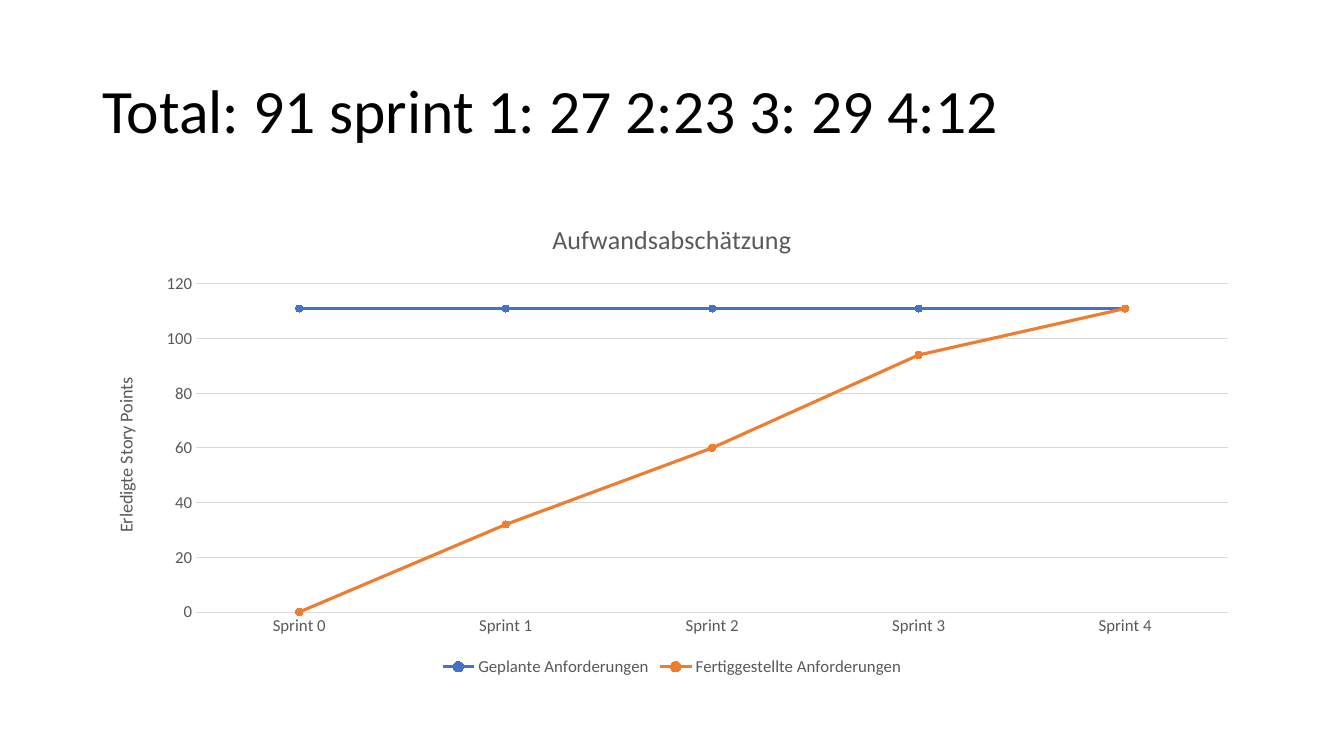
from dataclasses import dataclass

from pptx import Presentation
from pptx.chart.data import CategoryChartData as ChartData
from pptx.dml.color import RGBColor as RGB
from pptx.enum.chart import XL_CHART_TYPE as Kind
from pptx.enum.chart import XL_LEGEND_POSITION as Place
from pptx.enum.chart import XL_MARKER_STYLE as Mark
from pptx.enum.chart import XL_TICK_MARK as Tick
from pptx.enum.text import MSO_ANCHOR as Anchor
from pptx.util import Pt


@dataclass(frozen=True)
class Theme:
    face: str = "Calibri"
    black: RGB = RGB(0, 0, 0)
    gray: RGB = RGB(0x59, 0x59, 0x59)
    grid: RGB = RGB(0xD9, 0xD9, 0xD9)
    blue: RGB = RGB(0x44, 0x72, 0xC4)
    orange: RGB = RGB(0xED, 0x7D, 0x31)
    head: float = 44
    title: float = 18.6
    label: float = 12
    hair: float = 0.75
    curve: float = 2.25


@dataclass(frozen=True)
class Series:
    name: str
    points: tuple[int, ...]
    color: RGB


theme = Theme()
LEFT, WIDTH = 66, 828
SPRINTS = [f"Sprint {n}" for n in range(5)]
SERIES = [
    Series("Geplante Anforderungen", (111,) * 5, theme.blue),
    Series("Fertiggestellte Anforderungen", (0, 32, 60, 94, 111), theme.orange),
]


def style(font, size: float, color: RGB) -> None:
    font.name, font.size, font.bold = theme.face, Pt(size), False
    font.color.rgb = color


def caption(owner, text: str, size: float) -> None:
    """Set the title of a chart or an axis."""
    frame = owner.text_frame
    frame.text = text
    style(frame.paragraphs[0].runs[0].font, size, theme.gray)


def rule(line, color: RGB, width: float) -> None:
    line.color.rgb, line.width = color, Pt(width)


def draw_head(slide, text: str) -> None:
    box = slide.shapes.add_textbox(Pt(LEFT), Pt(28.75), Pt(WIDTH), Pt(104.4))
    frame = box.text_frame
    frame.word_wrap, frame.vertical_anchor = True, Anchor.MIDDLE
    frame.text = text
    para = frame.paragraphs[0]
    para.line_spacing = 0.9
    style(para.runs[0].font, theme.head, theme.black)


def draw_chart(slide) -> None:
    data = ChartData()
    data.categories = SPRINTS
    for item in SERIES:
        data.add_series(item.name, item.points)
    chart = slide.shapes.add_chart(
        Kind.LINE_MARKERS, Pt(LEFT), Pt(143.75), Pt(WIDTH), Pt(342.6), data).chart
    style(chart.font, theme.label, theme.gray)
    caption(chart.chart_title, "Aufwandsabschätzung", theme.title)
    chart.chart_title.include_in_layout = False

    # Legend
    chart.has_legend = True
    chart.legend.position = Place.BOTTOM
    chart.legend.include_in_layout = False
    style(chart.legend.font, theme.label, theme.gray)

    # Axes
    cat, val = chart.category_axis, chart.value_axis
    for axis in (cat, val):
        axis.major_tick_mark = axis.minor_tick_mark = Tick.NONE
        style(axis.tick_labels.font, theme.label, theme.gray)
    rule(cat.format.line, theme.grid, theme.hair)
    val.format.line.fill.background()
    val.minimum_scale, val.maximum_scale, val.major_unit = 0, 120, 20
    rule(val.major_gridlines.format.line, theme.grid, theme.hair)
    caption(val.axis_title, "Erledigte Story Points", theme.label + 1)

    # Lines and markers
    plot = chart.plots[0]
    plot.vary_by_categories = False
    for item, line in zip(SERIES, plot.series):
        line.smooth = False
        rule(line.format.line, item.color, theme.curve)
        dot = line.marker
        dot.style, dot.size = Mark.CIRCLE, 5
        dot.format.fill.solid()
        dot.format.fill.fore_color.rgb = item.color
        rule(dot.format.line, item.color, theme.hair)


deck = Presentation()
deck.slide_width, deck.slide_height = Pt(960), Pt(540)
slide = deck.slides.add_slide(deck.slide_layouts[6])
draw_head(slide, "Total: 91 sprint 1: 27 2:23 3: 29 4:12")
draw_chart(slide)
deck.save("out.pptx")
